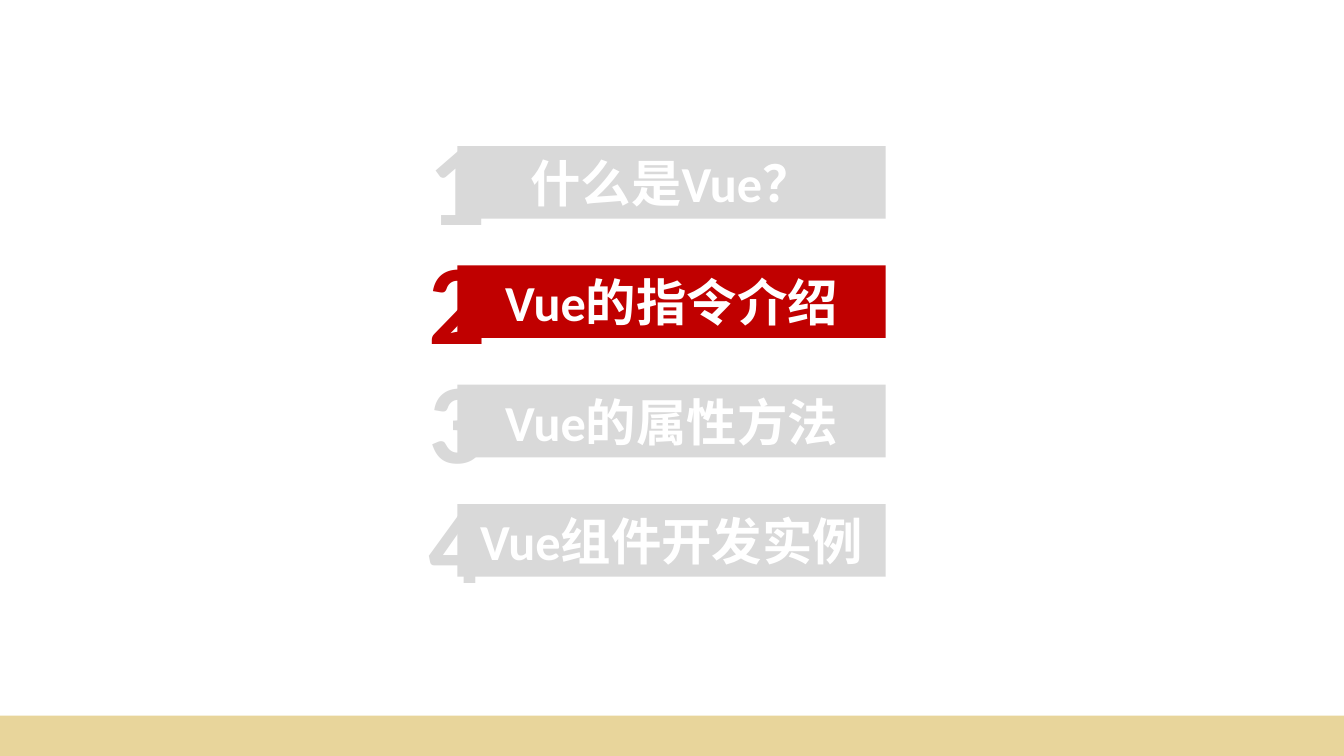
"""Build an agenda slide with four numbered bars, the second one active."""
from pptx import Presentation
from pptx.dml.color import RGBColor
from pptx.enum import shapes, text
from pptx.util import Inches, Pt

TOPICS = ["什么是Vue？", "Vue的指令介绍", "Vue的属性方法", "Vue组件开发实例"]
ACTIVE = 2
COLORS = {"idle": "D9D9D9", "active": "C00000", "text": "FFFFFF", "band": "E8D59B"}
FONT = "Calibri"
WIDTH, HEIGHT = 13.34, 7.5
FIRST, LAST = 1.45, 5.0
BAND_TOP = 7.1


def add_bar(slide, left, top, width, height, color):
    bar = slide.shapes.add_shape(
        shapes.MSO_SHAPE.RECTANGLE,
        Inches(left), Inches(top), Inches(width), Inches(height))
    bar.shadow.inherit = False
    bar.fill.solid()
    bar.fill.fore_color.rgb = RGBColor.from_string(COLORS[color])
    bar.line.fill.background()
    return bar


def add_run(para, words, size, color):
    run = para.add_run()
    run.text = words
    run.font.name = FONT
    run.font.size = Pt(size)
    run.font.bold = True
    run.font.color.rgb = RGBColor.from_string(COLORS[color])


def add_topic(slide, num, topic, top):
    color = "active" if num == ACTIVE else "idle"
    bar = add_bar(slide, 4.54, top, 4.25, 0.72, color)
    frame = bar.text_frame
    frame.word_wrap = True
    frame.vertical_anchor = text.MSO_ANCHOR.MIDDLE
    para = frame.paragraphs[0]
    para.alignment = text.PP_ALIGN.CENTER
    add_run(para, topic, 36, "text")

    box = slide.shapes.add_textbox(
        Inches(4.15), Inches(top - 0.39), Inches(0.78), Inches(1.46))
    frame = box.text_frame
    frame.word_wrap = False
    frame.auto_size = text.MSO_AUTO_SIZE.SHAPE_TO_FIT_TEXT
    add_run(frame.paragraphs[0], str(num), 81, color)


def main():
    deck = Presentation()
    deck.slide_width, deck.slide_height = Inches(WIDTH), Inches(HEIGHT)
    slide = deck.slides.add_slide(deck.slide_layouts[6])
    pitch = (LAST - FIRST) / (len(TOPICS) - 1)
    for i, topic in enumerate(TOPICS):
        add_topic(slide, i + 1, topic, FIRST + i * pitch)
    add_bar(slide, 0, BAND_TOP, WIDTH, HEIGHT - BAND_TOP, "band")
    deck.save("out.pptx")


if __name__ == "__main__":
    main()
